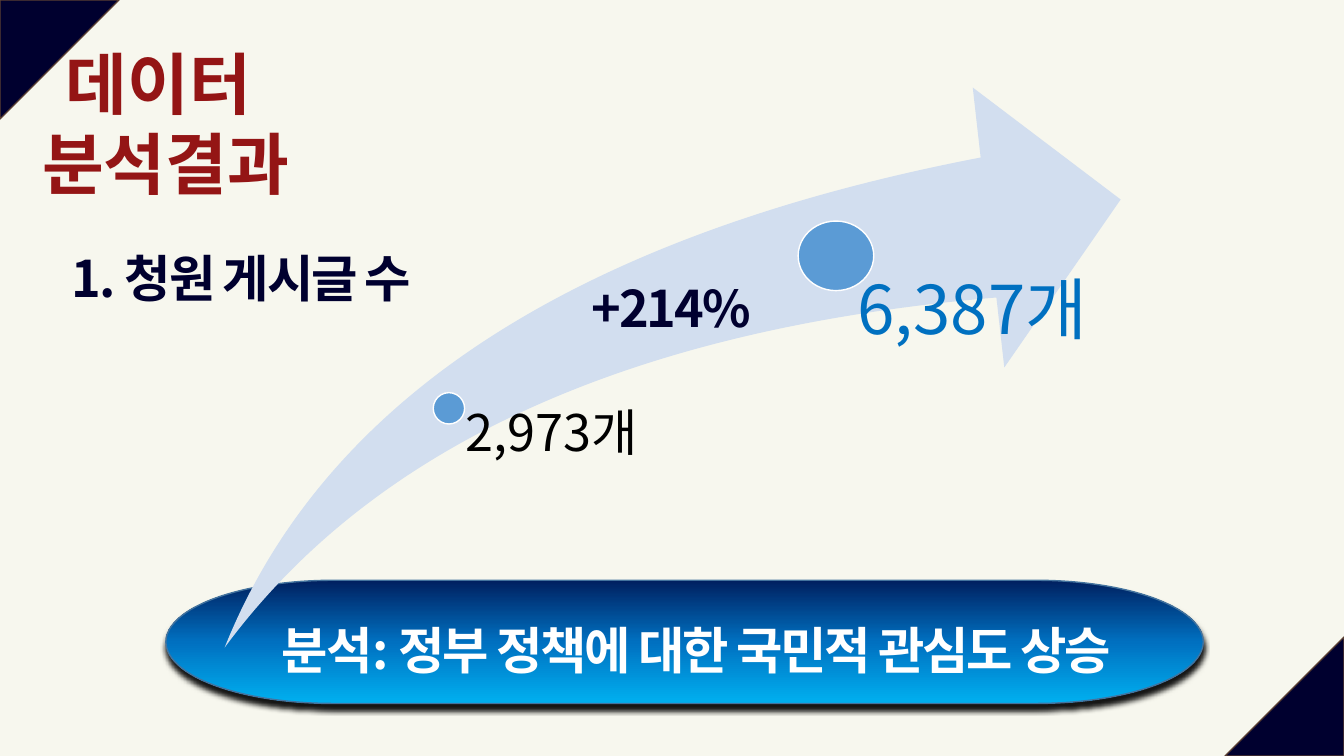
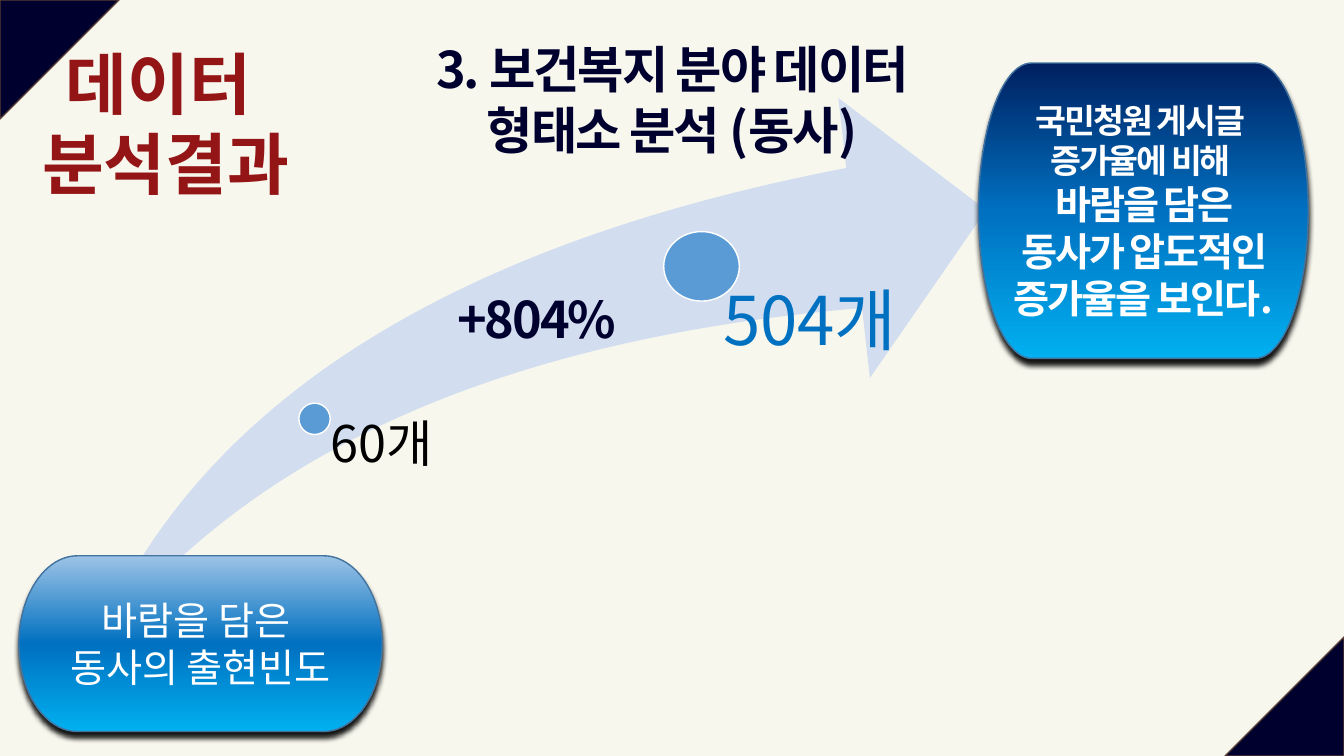
from pptx import Presentation
from pptx.dml.color import RGBColor
from pptx.enum.shapes import MSO_SHAPE
from pptx.enum.text import MSO_ANCHOR, MSO_AUTO_SIZE, PP_ALIGN
from pptx.oxml import parse_xml
from pptx.oxml.ns import nsdecls, qn
from pptx.util import Pt
from lxml.etree import SubElement

FONT = "Noto Sans CJK KR"
WIDE, HIGH = 960, 540
HUES = {
    "page": "F7F7EE", "navy": "00002F", "brown": "5B3F33", "red": "941515",
    "swoosh": "D2DEEF", "dot": "5B9BD5", "edge": "43739E", "blue": "0070C0",
    "deep": "002060", "pale": "9DC3E6", "sky": "00B0F0",
    "black": "000000", "white": "FFFFFF",
}


def hue(name):
    """Return the named colour."""
    return RGBColor.from_string(HUES[name])


def shade(alpha, blur, dist, angle):
    """Return an outer shadow effect list."""
    return parse_xml(
        f'<a:effectLst {nsdecls("a")}><a:outerShdw blurRad="{Pt(blur)}" '
        f'dist="{Pt(dist)}" dir="{angle * 60000}" algn="tl" rotWithShape="0">'
        f'<a:srgbClr val="{HUES["black"]}"><a:alpha val="{alpha * 1000}"/>'
        '</a:srgbClr></a:outerShdw></a:effectLst>')


def add_run(para, text, size, tint, bold=False, space=0):
    """Add one styled run to a paragraph."""
    run = para.add_run()
    run.text = text
    font = run.font
    font.size, font.bold, font.name = Pt(size), bold, FONT
    font.color.rgb = hue(tint)
    props = font.color and run.font.fill and run._r.get_or_add_rPr()
    SubElement(props, qn("a:ea")).set("typeface", FONT)
    if space:
        props.set("spc", str(int(space * 100)))
    return props


def write(frame, lines, tint, bold=True, space=-1.5, align=PP_ALIGN.CENTER):
    """Fill a text frame with (text, size) lines and return the run properties."""
    frame.word_wrap = True
    made = []
    for i, (text, size) in enumerate(lines):
        para = frame.add_paragraph() if i else frame.paragraphs[0]
        para.alignment = align
        made.append(add_run(para, text, size, tint, bold, space))
    return made


def add_text(slide, box, lines, tint, **style):
    """Add a text box and return its frame."""
    frame = slide.shapes.add_textbox(*map(Pt, box)).text_frame
    write(frame, lines, tint, **style)
    return frame


def add_form(slide, kind, box, fill, line=None):
    """Add a flat preset shape."""
    form = slide.shapes.add_shape(kind, *map(Pt, box))
    form.shadow.inherit = False
    form.fill.solid()
    form.fill.fore_color.rgb = hue(fill)
    if line:
        form.line.color.rgb = hue(line)
        form.line.width = Pt(1)
    else:
        form.line.fill.background()
    return form


def add_pill(slide, box, top, lines=(), **style):
    """Add a shadowed pill that fades from the top colour to sky blue."""
    pill = add_form(slide, MSO_SHAPE.FLOWCHART_TERMINATOR, box, "blue", "edge")
    pill.fill.gradient()
    pill.fill.gradient_angle = 270
    props = pill.element.spPr
    stops = props.find(".//" + qn("a:gsLst"))
    for stop in list(stops):
        stops.remove(stop)
    for i, name in enumerate((top, "blue", "sky")):
        stop = SubElement(stops, qn("a:gs"), pos=str(i * 50000))
        SubElement(stop, qn("a:srgbClr"), val=HUES[name])
    flat = props.find(qn("a:effectLst"))
    props.replace(flat, shade(91, 4, 4, 90))
    pill.text_frame.vertical_anchor = MSO_ANCHOR.MIDDLE
    if lines:
        write(pill.text_frame, lines, "white", **style)


def add_growth(slide, left, top, first, last, rate):
    """Add the swoosh arrow with both counts and the growth rate."""
    arrow = add_form(slide, MSO_SHAPE.SWOOSH_ARROW, (left, top, 640, 400), "swoosh")
    arrow.adjustments[0] = arrow.adjustments[1] = 0.25
    marks = (
        ((149, 218, 22.4, 22.4), (160.4, 229.2), first, 36, "black", 11.5),
        ((409.6, 95.4, 54, 49.7), (432, 135.2), last, 48, "blue", 20),
    )
    for (x, y, wide, high), (dx, dy), text, size, tint, inset in marks:
        add_form(slide, MSO_SHAPE.OVAL, (left + x, top + y, wide, high), "dot", "white")
        frame = add_text(slide, (left + dx, top + dy, 208, 400 - dy), [(text, size)],
                         tint, bold=False, space=0, align=PP_ALIGN.LEFT)
        frame.margin_left = Pt(inset)
        frame.margin_top = frame.margin_right = frame.margin_bottom = 0
        frame.paragraphs[0].line_spacing = 0.9
    add_text(slide, (left + 196, top + 132, 246, 51), [(rate, 36)], "navy")


def set_base(deck, layout):
    """Give the layout its background, corners and title place."""
    layout.background.fill.solid()
    layout.background.fill.fore_color.rgb = hue("page")
    title = layout.placeholders[0]
    title.left, title.top, title.width, title.height = map(Pt, (13.5, 26.5, 210, 124))
    slide = deck.slides.add_slide(layout)
    side = 85
    for x, y, turn in ((0, 0, 90), (WIDE - side, HIGH - side, 270)):
        form = add_form(slide, MSO_SHAPE.ISOSCELES_TRIANGLE, (x, y, side, side),
                        "navy", "brown")
        form.adjustments[0] = 0
        form.rotation = turn
        layout.shapes.element.append(form.element)
    return slide


def set_title(slide):
    """Write the shadowed title."""
    frame = slide.shapes.title.text_frame
    frame.vertical_anchor = MSO_ANCHOR.TOP
    frame.auto_size = MSO_AUTO_SIZE.NONE
    for props in write(frame, [("데이터 ", 48), ("분석결과", 48)], "red", space=0):
        props.find(qn("a:latin")).addprevious(shade(50, 4, 4, 45))


def main():
    """Build and save the deck."""
    deck = Presentation()
    deck.slide_width, deck.slide_height = Pt(WIDE), Pt(HIGH)
    layout = deck.slide_layouts[5]

    posts = set_base(deck, layout)
    set_title(posts)
    add_pill(posts, (118.5, 414.5, 741, 88), "deep")
    add_growth(posts, 160.5, 62.5, "2,973개", "6,387개", "+214%")
    add_text(posts, (13.5, 173, 318, 51), [("1. 청원 게시글 수", 36)], "navy")
    add_text(posts, (152.5, 438.5, 690, 51),
             [("분석: 정부 정책에 대한 국민적 관심도 상승", 36)], "white")

    verbs = deck.slides.add_slide(layout)
    set_title(verbs)
    add_growth(verbs, 64.5, 70, "60개", "504개", "+804%")
    add_pill(verbs, (13.5, 397, 259.5, 125.5), "pale",
             [("바람을 담은 ", 28), ("동사의 출현빈도", 28)], bold=False, space=0)
    add_pill(verbs, (699, 45, 235.5, 211), "deep",
             [("국민청원 게시글 ", 24), ("증가율에 비해 ", 24),
              ("바람을 담은 동사가 압도적인 증가율을 보인다.", 28)])
    add_text(verbs, (201, 24, 558.5, 138),
             [("3. 보건복지 분야 데이터", 36), ("형태소 분석 (동사)", 36)], "navy")
    deck.save("out.pptx")


if __name__ == "__main__":
    main()
